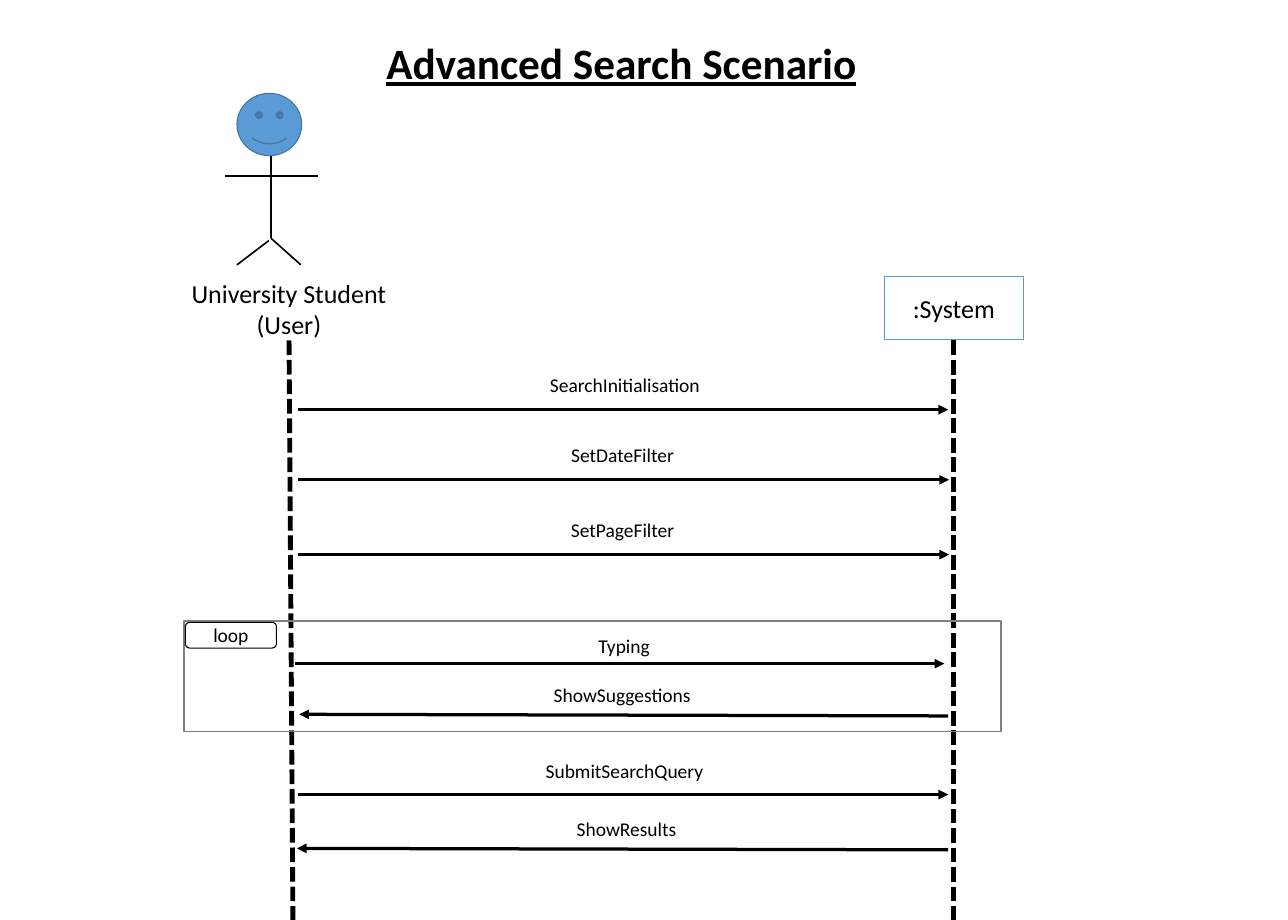
from pptx import Presentation
from pptx.dml.color import RGBColor
from pptx.enum import dml, shapes, text
from pptx.oxml import parse_xml
from pptx.oxml.ns import nsdecls, qn
from pptx.util import Pt

BLACK, WHITE, BLUE = "000000", "FFFFFF", "5B9BD5"
SHAPE = shapes.MSO_SHAPE

MESSAGES = [
    ("SearchInitialisation", 577.4, 341.3, (275, 378.7), (876.2, 378.7)),
    ("SetDateFilter", 575.3, 406.1, (275.8, 443.5), (877, 443.5)),
    ("SetPageFilter", 575.3, 475.2, (275.8, 512.6), (877, 512.6)),
    ("Typing", 576.7, 582.5, (272.2, 613.4), (872.6, 613.4)),
    ("ShowSuggestions", 574.9, 627.8, (876.2, 661.7), (276.5, 660.2)),
    ("SubmitSearchQuery", 577, 698.4, (275, 734.4), (876.2, 734.4)),
    ("ShowResults", 578.9, 751.7, (876.2, 785.5), (274.3, 784.1)),
]


def color(value):
    return RGBColor.from_string(value)


def write(frame, words, size=18, bold=False, underline=False, spacing=1.0,
          anchor=text.MSO_ANCHOR.MIDDLE):
    frame.word_wrap = True
    frame.vertical_anchor = anchor
    para = frame.paragraphs[0]
    para.alignment = text.PP_ALIGN.CENTER
    para.line_spacing = spacing
    span = para.add_run()
    span.text = words
    span.font.name = "Calibri"
    span.font.size = Pt(size)
    span.font.bold = bold
    span.font.underline = underline
    span.font.color.rgb = color(BLACK)


def add_figure(page, kind, box, fill=None, line=None, weight=1):
    figure = page.shapes.add_shape(kind, *map(Pt, box))
    figure.shadow.inherit = False
    if fill:
        figure.fill.solid()
        figure.fill.fore_color.rgb = color(fill)
    else:
        figure.fill.background()
    if line:
        figure.line.color.rgb = color(line)
        figure.line.width = Pt(weight)
    else:
        figure.line.fill.background()
    return figure


def add_line(page, start, end, weight, dashed=False, arrow=False):
    line = page.shapes.add_connector(
        shapes.MSO_CONNECTOR.STRAIGHT, *map(Pt, (*start, *end)))
    line.line.color.rgb = color(BLACK)
    line.line.width = Pt(weight)
    if dashed:
        line.line.dash_style = dml.MSO_LINE.SQUARE_DOT
    if arrow:
        line.line._get_or_add_ln().append(
            parse_xml(f'<a:tailEnd {nsdecls("a")} type="triangle"/>'))
    properties = line._element.spPr
    properties.append(properties.makeelement(qn("a:effectLst"), {}))


def add_title(page, box):
    title = page.shapes.title
    title.left, title.top, title.width, title.height = map(Pt, box)
    write(title.text_frame, "Advanced Search Scenario", 40,
          bold=True, underline=True, spacing=0.9)


def add_actor(page, box):
    left, top, width, height = box
    spine, hip = left + 109.5, top + 134
    label = add_figure(page, SHAPE.RECTANGLE,
                       (left, top + height - 58.3, width, 58.3), WHITE)
    write(label.text_frame, "University Student (User)", 24)
    limbs = [
        ((spine, top + 53.5), (spine, hip)),
        ((left + 67, top + 76.5), (left + 152.7, top + 76.5)),
        ((spine, hip), (left + 137, top + 158.5)),
        ((spine - 2, hip + 2), (left + 78, top + 158.5)),
    ]
    for start, end in limbs:
        add_line(page, start, end, 1.5)
    add_figure(page, SHAPE.SMILEY_FACE, (left + 78, top, 59.8, 57.6),
               BLUE, "43739E")


def add_system(page, box):
    system = add_figure(page, SHAPE.RECTANGLE, box, WHITE, BLUE)
    write(system.text_frame, ":System", 24)


def add_lifelines(page, box):
    left, top, width, height = box
    right, bottom = left + width, top + height
    add_line(page, (left, top), (left + 3.6, bottom), 4.5, dashed=True)
    add_line(page, (right, top), (right, bottom), 4.5, dashed=True)


def add_loop(page, box):
    left, top, width, height = box
    frame = add_figure(page, SHAPE.ROUNDED_RECTANGLE, box,
                       line="808080", weight=1.5)
    frame.adjustments[0] = 0
    tag = add_figure(page, SHAPE.ROUNDED_RECTANGLE,
                     (left + 1.4, top + 1.4, 84.2, 23.8), WHITE, BLACK)
    write(tag.text_frame, "loop")


def add_message(page, words, center, top, start, end):
    width = 300
    label = page.shapes.add_textbox(
        *map(Pt, (center - width / 2, top, width, 29)))
    write(label.text_frame, words, anchor=text.MSO_ANCHOR.TOP)
    add_line(page, start, end, 3, arrow=True)


def main():
    deck = Presentation()
    deck.slide_width, deck.slide_height = Pt(1190.16), Pt(850.32)
    page = deck.slides.add_slide(deck.slide_layouts[5])
    add_title(page, (14.4, 20.2, 1119.6, 81.4))
    add_actor(page, (141, 86.3, 252, 228))
    add_system(page, (817.2, 255.6, 128.2, 58.3))
    add_lifelines(page, (267.1, 314.6, 614.2, 535.7))
    add_loop(page, (169.9, 573.8, 755.3, 102.2))
    for message in MESSAGES:
        add_message(page, *message)
    deck.save("out.pptx")


if __name__ == "__main__":
    main()
